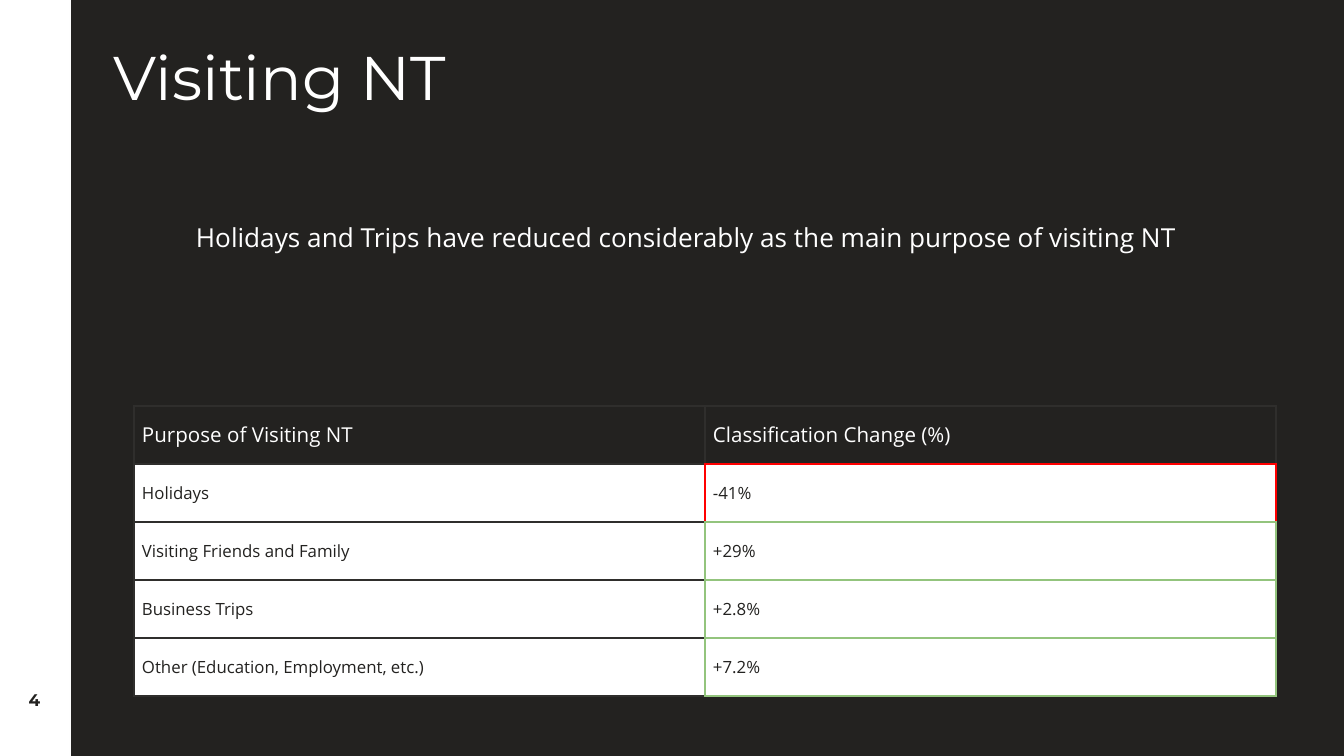
from lxml import etree
from pptx import Presentation
from pptx.dml.color import RGBColor
from pptx.enum import shapes, text
from pptx.oxml.ns import qn
from pptx.util import Pt

PX = 914400 / 134.4
DARK, WHITE, EDGE, RED, GREEN = "232220", "FFFFFF", "2F2E2C", "FF0000", "93C47D"

TITLE = "Visiting NT"
MESSAGE = "Holidays and Trips have reduced considerably as the main purpose of visiting NT"
PAGE_NUMBER = "4"
ROWS = [
    ("Purpose of Visiting NT", "Classification Change (%)"),
    ("Holidays", "-41%"),
    ("Visiting Friends and Family", "+29%"),
    ("Business Trips", "+2.8%"),
    ("Other (Education, Employment, etc.)", "+7.2%"),
]
# Border colours for each row: left, right, top, bottom of both cells
GROWTH = [(EDGE, GREEN, EDGE, EDGE), (GREEN,) * 4]
BORDERS = [
    [(EDGE,) * 4, (EDGE, EDGE, EDGE, RED)],
    [(EDGE, RED, EDGE, EDGE), (RED, RED, RED, GREEN)],
    GROWTH, GROWTH, GROWTH,
]


def px(*lengths):
    return [round(length * PX) for length in lengths]


def rgb(color):
    return RGBColor.from_string(color)


def style(frame, size, color, font="Open Sans", bold=False):
    for para in frame.paragraphs:
        for span in para.runs:
            span.font.name, span.font.size, span.font.bold = font, Pt(size), bold
            span.font.color.rgb = rgb(color)


def fill_frame(box, content, inset, anchor=text.MSO_ANCHOR.TOP, align=text.PP_ALIGN.LEFT):
    frame = box.text_frame
    frame.text = content
    frame.word_wrap = True
    frame.auto_size = text.MSO_AUTO_SIZE.NONE
    frame.vertical_anchor = anchor
    frame.margin_left, frame.margin_top = px(*inset)
    frame.margin_right, frame.margin_bottom = px(*inset)
    frame.paragraphs[0].alignment = align
    return frame


def set_borders(cell, colors):
    properties = cell._tc.get_or_add_tcPr()
    for side, color in zip("LRTB", colors):
        line = etree.SubElement(properties, qn(f"a:ln{side}"), w=str(Pt(1)))
        solid = etree.SubElement(line, qn("a:solidFill"))
        etree.SubElement(solid, qn("a:srgbClr"), val=color)


deck = Presentation()
deck.slide_width, deck.slide_height = px(1344, 756)
page = deck.slides.add_slide(deck.slide_layouts[5])
page.background.fill.solid()
page.background.fill.fore_color.rgb = rgb(DARK)

# Side band and its edge
band = page.shapes.add_shape(shapes.MSO_SHAPE.RECTANGLE, *px(0, 0, 70, 756))
band.shadow.inherit = False
band.fill.solid()
band.fill.fore_color.rgb = rgb(WHITE)
band.line.fill.background()
edge = page.shapes.add_connector(shapes.MSO_CONNECTOR.STRAIGHT, *px(70, 0, 70, 756))
edge.line.color.rgb = rgb("FEFEFE")
edge.line.width = Pt(1.5)
etree.SubElement(edge._element.spPr, qn("a:effectLst"))

# Table
table = page.shapes.add_table(len(ROWS), 2, *px(134, 406, 1142, 290)).table
table.first_row = table.horz_banding = False
for column in table.columns:
    column.width = px(571)[0]
for r, (row, values) in enumerate(zip(table.rows, ROWS)):
    row.height = px(58)[0]
    back, ink, size = (DARK, WHITE, 11) if r == 0 else (WHITE, DARK, 9)
    for cell, value, colors in zip(row.cells, values, BORDERS[r]):
        cell.text_frame.text = value
        style(cell.text_frame, size, ink)
        cell.vertical_anchor = text.MSO_ANCHOR.MIDDLE
        cell.margin_left, cell.margin_right, cell.margin_top, cell.margin_bottom = px(8, 8, 8, 8)
        set_borders(cell, colors)
        cell.fill.solid()
        cell.fill.fore_color.rgb = rgb(back)

# Title
title = page.shapes.title
title.left, title.top, title.width, title.height = px(105, 34, 1136, 94)
style(fill_frame(title, TITLE, (9, 5)), 33, WHITE, "Montserrat")

# Page number
number = page.shapes.add_textbox(*px(0, 680, 69, 39))
frame = fill_frame(number, PAGE_NUMBER, (9, 5), text.MSO_ANCHOR.MIDDLE, text.PP_ALIGN.CENTER)
style(frame, 9, DARK, "Montserrat", bold=True)

# Message
message = page.shapes.add_textbox(*px(183, 208, 1044, 117))
style(fill_frame(message, MESSAGE, (13, 13)), 14, WHITE)

deck.save("out.pptx")
